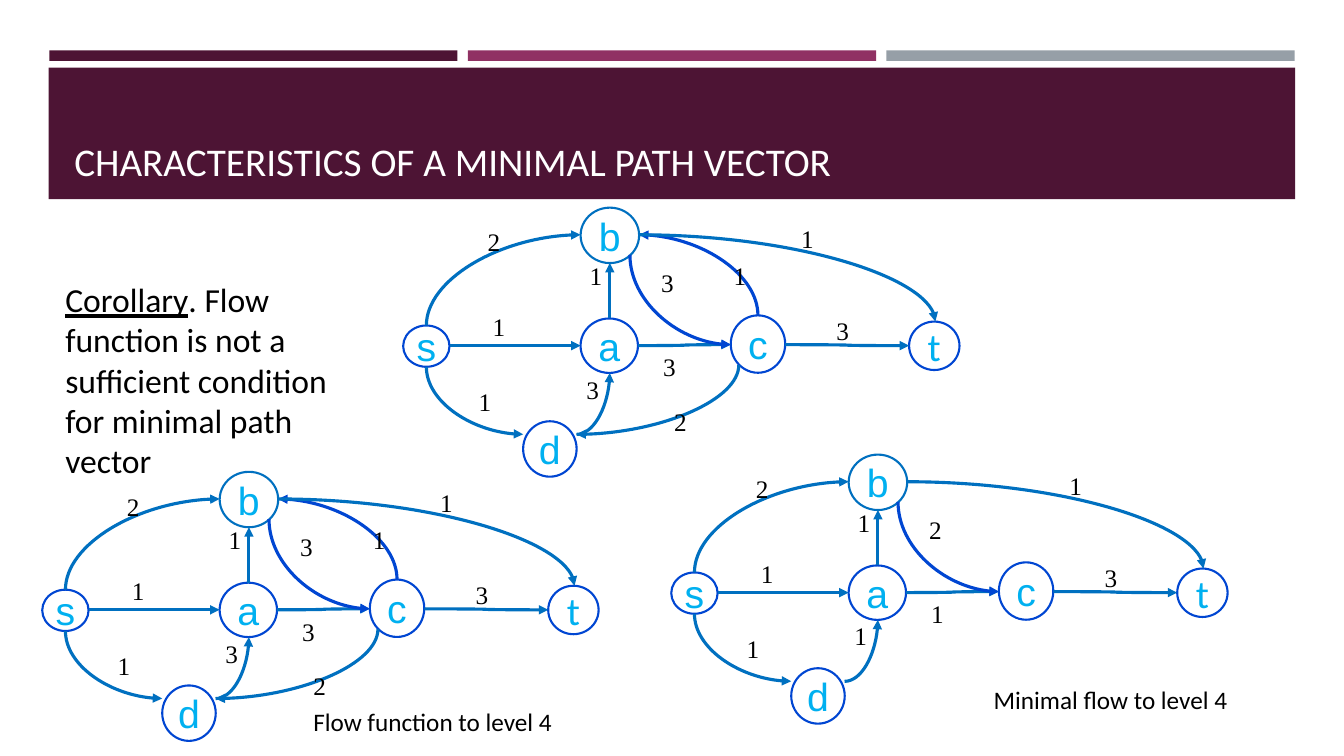
from lxml.etree import SubElement
from pptx import Presentation
from pptx.dml.color import RGBColor
from pptx.enum.shapes import MSO_CONNECTOR as Link, MSO_SHAPE as Preset
from pptx.enum.text import MSO_ANCHOR as Anchor, PP_ALIGN as Align
from pptx.oxml.ns import qn
from pptx.util import Pt

COLORS = {
    "plum": "4D1434", "magenta": "903163", "gray": "969FA7",
    "white": "FFFFFF", "black": "000000",
    "royal": "0046D2", "blue": "0070C0", "sky": "00B0F0",
}

# Each graph is laid out from the left of node s and the top of node b.
# node: left, top, width, height
NODES = {
    "a": (126.7, 79.2, 41, 38.9),
    "d": (85.7, 152.6, 38.2, 39.6),
    "c": (234, 77, 38.9, 41),
    "b": (126.7, 0, 41.8, 39.6),
    "s": (0, 84.2, 33.1, 29.5),
    "t": (361.4, 81.4, 36, 34.6),
}
# edge: way it leaves its node, start, end, label box (left, top, width)
EDGES = {
    "da": ("across", (123.8, 162), (147.6, 118.1), (123.8, 115.2, 33.8)),
    "ab": ("straight", (147.6, 79.2), (147.6, 39.6), (126, 33.8, 25.2)),
    "ac": ("level", (167.8, 98.6), (234, 97.9), (178.6, 99.4, 25.9)),
    "cd": ("upright", (239.8, 112.3), (123.8, 162), (186.5, 138.2, 55.4)),
    "bc": ("upright", (162, 33.8), (234, 97.9), (177.1, 38.9, 55.4)),
    "ct": ("level", (272.9, 97.9), (361.4, 98.6), (302.4, 73.4, 55.4)),
    "sb": ("upright", (16.6, 84.2), (126.7, 19.4), (53.3, 10.1, 45.4)),
    "sa": ("level", (33.1, 98.6), (126.7, 98.6), (56.9, 70.6, 55.4)),
    "cb": ("upright", (253.4, 77), (168.5, 19.4), (229, 33.8, 32.4)),
    "bt": ("across", (168.5, 19.4), (380.2, 81.4), (277.2, 7.9, 55.4)),
    "sd": ("upright", (16.6, 113.8), (85.7, 162), (46.8, 123.8, 43.2)),
}
FULL_FLOW = {"da": 3, "ab": 1, "ac": 3, "cd": 2, "bc": 3, "ct": 3,
             "sb": 2, "sa": 1, "cb": 1, "bt": 1, "sd": 1}
MINIMAL_FLOW = {"da": 1, "ab": 1, "ac": 1, "bc": 2, "ct": 3,
                "sb": 2, "sa": 1, "bt": 1, "sd": 1}


def color(name):
    return RGBColor.from_string(COLORS[name])


def add_text(para, text, *, size=18, font="Calibri", ink="black", underline=None):
    span = para.add_run()
    span.text = text
    span.font.size = Pt(size)
    span.font.name = font
    span.font.color.rgb = color(ink)
    span.font.underline = underline


class FlowSlide:
    label_font = "Times New Roman"
    label_height = 28.8

    def __init__(self, deck):
        self.page = deck.slides.add_slide(deck.slide_layouts[6])

    def shape(self, preset, left, top, width, height, fill, outline=None):
        shape = self.page.shapes.add_shape(
            preset, Pt(left), Pt(top), Pt(width), Pt(height))
        shape.shadow.inherit = False
        shape.fill.solid()
        shape.fill.fore_color.rgb = color(fill)
        if outline:
            shape.line.color.rgb = color(outline)
            shape.line.width = Pt(1.5)
        else:
            shape.line.fill.background()
        return shape

    def text(self, left, top, width, height, *parts, anchor=Anchor.TOP, **style):
        box = self.page.shapes.add_textbox(Pt(left), Pt(top), Pt(width), Pt(height))
        box.text_frame.word_wrap = True
        box.text_frame.vertical_anchor = anchor
        for text, extra in parts:
            add_text(box.text_frame.paragraphs[0], text, **style, **extra)

    def node(self, name, left, top, width, height):
        outline = "blue" if name == "b" else "royal"
        frame = self.shape(Preset.OVAL, left, top, width, height,
                           "white", outline).text_frame
        frame.word_wrap = False
        frame.vertical_anchor = Anchor.MIDDLE
        para = frame.paragraphs[0]
        para.alignment = Align.CENTER
        add_text(para, name, size=28, ink="sky",
                 font="Calibri" if name == "t" else "Arial")

    def arrow(self, way, start, end, ink):
        # A quarter curve always begins across, so an upright one is drawn backwards.
        backwards = way == "upright"
        first, last = (end, start) if backwards else (start, end)
        kind = Link.STRAIGHT if way == "straight" else Link.CURVE
        line = self.page.shapes.add_connector(
            kind, *(Pt(value) for value in (*first, *last)))
        line.line.color.rgb = color(ink)
        line.line.width = Pt(2.25)
        props = line.element.spPr
        if way in ("across", "upright"):
            props.find(qn("a:prstGeom")).set("prst", "curvedConnector2")
        tip = "a:headEnd" if backwards else "a:tailEnd"
        SubElement(props.find(qn("a:ln")), qn(tip), type="triangle")
        SubElement(props, qn("a:effectLst"))

    def graph(self, left, top, flow):
        for name, (x, y, width, height) in NODES.items():
            self.node(name, left + x, top + y, width, height)
        for name, amount in flow.items():
            way, start, end, (x, y, width) = EDGES[name]
            start, end = ((left + px, top + py) for px, py in (start, end))
            self.arrow(way, start, end, "royal" if name in ("bc", "cb") else "blue")
            self.text(left + x, top + y, width, self.label_height,
                      (str(amount), {}), font=self.label_font)


def main():
    deck = Presentation()
    deck.slide_width, deck.slide_height = Pt(960), Pt(540)
    slide = FlowSlide(deck)

    # Header bands and title
    for index, fill in enumerate(("plum", "magenta", "gray")):
        slide.shape(Preset.RECTANGLE, 35.2 + index * 299, 36, 291.6, 7.5, fill)
    slide.shape(Preset.RECTANGLE, 34.8, 48.4, 890.4, 93.8, "plum")
    slide.text(46, 55.4, 868, 80,
               ("CHARACTERISTICS OF A MINIMAL PATH VECTOR", {}),
               anchor=Anchor.BOTTOM, size=28, ink="white")

    # Flow graphs
    slide.graph(288, 148.3, FULL_FLOW)
    slide.graph(30.2, 337, FULL_FLOW)
    slide.graph(479.5, 324.7, MINIMAL_FLOW)

    # Corollary and captions
    slide.text(39.6, 195.8, 232.6, 152.6,
               ("Corollary", {"underline": True}),
               (". Flow function is not a sufficient condition"
                " for minimal path vector", {}), size=24)
    slide.text(216.7, 501.1, 211, 28.8, ("Flow function to level 4", {}))
    slide.text(702.7, 485.3, 206, 28.8, ("Minimal flow to level 4", {}))

    deck.save("out.pptx")


if __name__ == "__main__":
    main()
